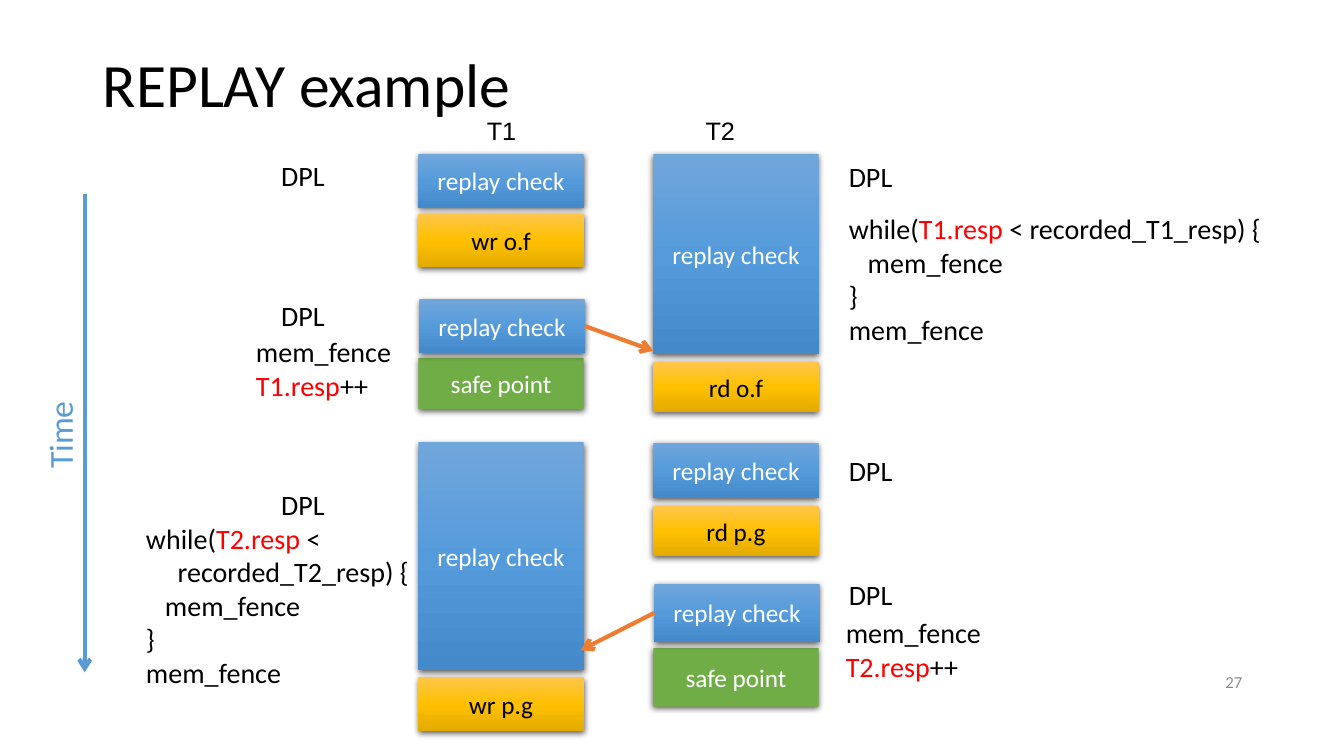
from lxml.etree import SubElement
from pptx import Presentation
from pptx.dml.color import RGBColor
from pptx.enum.shapes import MSO_CONNECTOR, MSO_SHAPE
from pptx.enum.text import MSO_ANCHOR, MSO_AUTO_SIZE, PP_ALIGN
from pptx.oxml.ns import qn
from pptx.util import Inches, Pt

RECT, STRAIGHT = MSO_SHAPE.RECTANGLE, MSO_CONNECTOR.STRAIGHT
TOP, MIDDLE = MSO_ANCHOR.TOP, MSO_ANCHOR.MIDDLE
LEFT, CENTER, RIGHT = PP_ALIGN.LEFT, PP_ALIGN.CENTER, PP_ALIGN.RIGHT
BLACK, WHITE = RGBColor(0, 0, 0), RGBColor(255, 255, 255)
RED = RGBColor(255, 0, 0)
GRAY = RGBColor(0x8C, 0x8C, 0x8C)
BLUE = RGBColor(0x5B, 0x9B, 0xD5)
ORANGE = RGBColor(0xED, 0x7D, 0x31)
GREEN = RGBColor(0x70, 0xAD, 0x47)
SKY = [RGBColor(0x71, 0xA6, 0xDB), RGBColor(0x55, 0x9B, 0xDB), RGBColor(0x44, 0x8A, 0xCA)]
GOLD = [RGBColor(0xFF, 0xC6, 0x4B), RGBColor(0xFF, 0xC0, 0x00), RGBColor(0xE3, 0xAB, 0x00)]

# Grid of ten units to the inch; thread columns and box width in units
T1, T2, WIDE = 41.5, 64.8, 16.4
NOTE, SIDE = 83.2, 26.9

# Kind of step: label, fill, text colour
CHECK = ("replay check", SKY, WHITE)
SAFE = ("safe point", [GREEN], WHITE)


def access(name):
    return name, GOLD, BLACK


def grid(*units):
    return [Inches(unit / 10) for unit in units]


def write(shape, text, size=20, color=BLACK, font="Calibri", align=LEFT,
          anchor=TOP, wrap=True, lead=None):
    """Fill a shape with lines of text; parts between bars are red."""
    frame = shape.text_frame
    frame.word_wrap = wrap
    frame.auto_size = MSO_AUTO_SIZE.NONE
    frame.vertical_anchor = anchor
    for i, line in enumerate(text.split("\n")):
        para = frame.add_paragraph() if i else frame.paragraphs[0]
        para.alignment = align
        if lead:
            para.line_spacing = lead
        for j, part in enumerate(line.split("|")):
            if part:
                run = para.add_run()
                run.text = part
                run.font.name, run.font.size = font, Pt(size)
                run.font.color.rgb = RED if j % 2 else color


def label(slide, text, x, y, w, h, **form):
    shape = slide.shapes.add_textbox(*grid(x, y, w, h))
    write(shape, text, **form)
    return shape


def shade(shape, colors):
    """Fill from top to bottom with evenly spaced colours."""
    shape.fill.gradient()
    shape.fill.gradient_angle = 270
    stops = shape._element.spPr.find(".//" + qn("a:gsLst"))
    for old in list(stops):
        stops.remove(old)
    for i, color in enumerate(colors):
        place = i * 100000 // (len(colors) - 1)
        stop = SubElement(stops, qn("a:gs"), pos=str(place))
        SubElement(stop, qn("a:srgbClr"), val=str(color))


def cast(shape):
    """Give a shape a soft shadow below it."""
    shape.shadow.inherit = False
    effects = shape._element.spPr.find(qn("a:effectLst"))
    shadow = SubElement(effects, qn("a:outerShdw"), blurRad=str(Pt(4.5)),
                        dist=str(Pt(1.5)), dir="5400000", algn="ctr", rotWithShape="0")
    tint = SubElement(shadow, qn("a:srgbClr"), val=str(BLACK))
    SubElement(tint, qn("a:alpha"), val="63000")


def step(slide, kind, x, y, h):
    text, fill, color = kind
    shape = slide.shapes.add_shape(RECT, *grid(x, y, WIDE, h))
    if len(fill) > 1:
        shade(shape, fill)
    else:
        shape.fill.solid()
        shape.fill.fore_color.rgb = fill[0]
    shape.line.fill.background()
    cast(shape)
    write(shape, text, size=18, color=color, align=CENTER, anchor=MIDDLE)
    return shape


def arrow(slide, x1, y1, x2, y2, color, start=None, site=0):
    line = slide.shapes.add_connector(STRAIGHT, *grid(x1, y1, x2, y2))
    if start is not None:
        line.begin_connect(start, site)
    line.line.color.rgb = color
    line.line.width = Pt(3)
    props = line._element.spPr
    SubElement(props.find(qn("a:ln")), qn("a:tailEnd"), type="arrow")
    SubElement(props, qn("a:effectLst"))


def main():
    deck = Presentation()
    deck.slide_width, deck.slide_height = Inches(13.33), Inches(7.5)
    slide = deck.slides.add_slide(deck.slide_layouts[5])

    title = slide.shapes.title
    title.left, title.top, title.width, title.height = grid(9.2, 4, 115, 9.3)
    write(title, "REPLAY example", size=44, anchor=MIDDLE, lead=0.9)

    for name, x in (("T1", 47.3), ("T2", 69)):
        label(slide, name, x, 10.9, 5, 4, size=18, font="Arial", wrap=False)

    steps = [
        (CHECK, T1, 15.3, 5.3), (access("wr o.f"), T1, 21.2, 5.3),
        (SAFE, T1, 35.5, 5.1),
        (CHECK, T1, 43.9, 22.6), (access("wr p.g"), T1, 67.2, 5.3),
        (CHECK, T2, 15.3, 19.8), (access("rd o.f"), T2, 35.9, 5),
        (CHECK, T2, 43.9, 5.5), (access("rd p.g"), T2, 50.2, 5),
        (SAFE, T2, 64.3, 5.8),
    ]
    for item in steps:
        step(slide, *item)
    first = step(slide, CHECK, T1 + 0.1, 29.7, 5.3)
    second = step(slide, CHECK, T2 + 0.1, 57.9, 5.8)
    arrow(slide, 58.1, 32.4, 64.8, 34.8, ORANGE, first, 3)
    arrow(slide, 64.6, 60.8, 57.6, 64.5, ORANGE, second, 1)

    for x, y in ((SIDE, 15.2), (SIDE, 29.1), (SIDE, 47.9),
                 (NOTE, 15.3), (NOTE, 44.5), (NOTE, 56.8)):
        label(slide, "DPL", x, y, 6.7, 4.4)
    for name, x, y in (("T1", 24.4, 32.7), ("T2", 82.9, 60.6)):
        label(slide, f"mem_fence\n|{name}.resp|++", x, y, 15.9, 7.7)
    tail = "\n   mem_fence\n}\nmem_fence"
    label(slide, "while(|T1.resp| < recorded_T1_resp) {" + tail, NOTE, 20.5, 46, 14.5)
    label(slide, "while(|T2.resp| <\n     recorded_T2_resp) {" + tail, 13.5, 51.2, 34.3, 17.8)

    arrow(slide, 8.4, 19.2, 8.4, 66.7, BLUE)
    time = label(slide, "Time", 1.3, 40.4, 9.2, 5, size=24, color=BLUE, wrap=False)
    time.rotation = 270
    label(slide, "27", 94.2, 65.6, 30, 4, size=12, color=GRAY, align=RIGHT, anchor=MIDDLE)

    deck.save("out.pptx")


if __name__ == "__main__":
    main()
